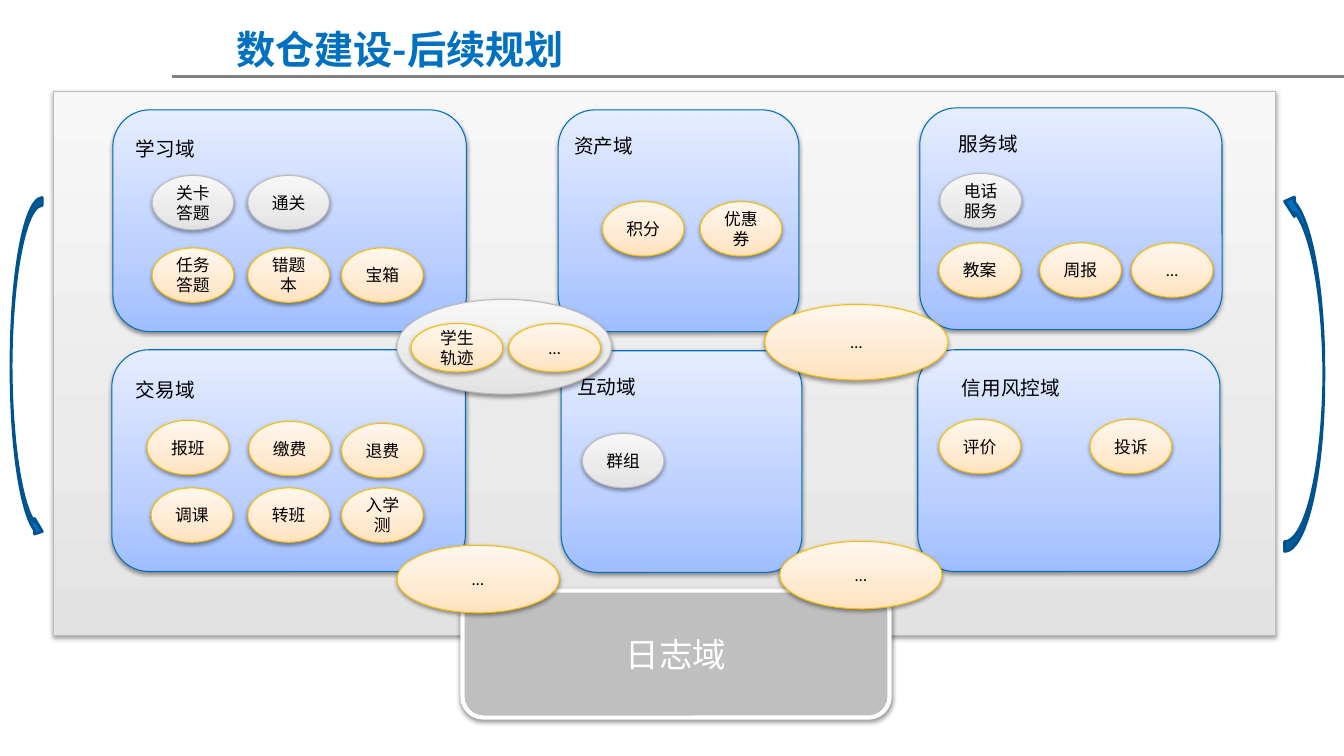
from copy import deepcopy
from lxml.etree import SubElement
from pptx import Presentation
from pptx.dml.color import RGBColor
from pptx.enum.shapes import MSO_CONNECTOR, MSO_SHAPE
from pptx.enum.text import MSO_ANCHOR, MSO_AUTO_SIZE, PP_ALIGN
from pptx.oxml.ns import qn
from pptx.util import Inches, Pt

COLORS = {
    "brand": "0070C0", "brand_dark": "00538E", "rule": "808080",
    "log": "BFBFBF", "white": "FFFFFF", "black": "000000",
}
GRADIENTS = {
    "grey": ("E2E2E2", "EAEAEA", "F7F7F7"),
    "blue": ("A0BEFF", "BCD0FF", "E5EDFF"),
    "orange": ("FFE2BD", "FFEAD1", "FFF7EE"),
}
BORDERS = {"grey": "BBBBBB", "blue": "006EBC", "orange": "F9BC00"}
STOPS = (0, 0.35, 1)
NODE_SIZE = (0.81, 0.54)

DOMAINS = [
    ((1.12, 1.09, 3.51, 2.2), "学习域", (0.13, 0.22), [
        ("关卡答题", "grey", 0.39, 0.65), ("通关", "grey", 1.34, 0.65),
        ("任务答题", "orange", 0.39, 1.37), ("错题本", "orange", 1.34, 1.37),
        ("宝箱", "orange", 2.27, 1.37)]),
    ((1.11, 3.47, 3.51, 2.2), "交易域", (0.14, 0.23), [
        ("调课", "orange", 0.39, 1.37), ("转班", "orange", 1.35, 1.37),
        ("入学测", "orange", 2.28, 1.37), ("报班", "orange", 0.35, 0.7),
        ("缴费", "orange", 1.36, 0.71), ("退费", "orange", 2.28, 0.73)]),
    ((5.57, 3.48, 2.39, 2.2), "互动域", (0.06, 0.19), [
        ("群组", "grey", 0.21, 0.82)]),
    ((5.54, 1.09, 2.39, 2.2), "资产域", (0.06, 0.19), [
        ("积分", "orange", 0.44, 0.91), ("优惠券", "orange", 1.41, 0.91)]),
    ((9.11, 3.47, 3, 2.2), "信用风控域", (0.34, 0.21), [
        ("评价", "orange", 0.21, 0.69), ("投诉", "orange", 1.71, 0.69)]),
    ((9.13, 1.07, 3, 2.2), "服务域", (0.29, 0.19), [
        ("电话服务", "grey", 0.2, 0.65), ("教案", "orange", 0.19, 1.34),
        ("周报", "orange", 1.19, 1.34), ("…", "orange", 2.1, 1.34)]),
]
BRIDGES = [(7.59, 3.02, 1.82, 0.75), (3.94, 5.41, 1.61, 0.67), (7.74, 5.37, 1.61, 0.67)]


def rgb(name):
    return RGBColor.from_string(COLORS[name])


def inches(box):
    return [Inches(length) for length in box]


def write(holder, wording, size, color="black", font="Calibri", align=PP_ALIGN.CENTER,
          anchor=MSO_ANCHOR.MIDDLE, bold=False):
    frame = holder.text_frame
    frame.text = wording
    frame.word_wrap = True
    frame.vertical_anchor = anchor
    paragraph = frame.paragraphs[0]
    paragraph.alignment = align
    paragraph.font.name = font
    paragraph.font.size = Pt(size)
    paragraph.font.bold = bold
    paragraph.font.color.rgb = rgb(color)


def cast_shadow(shape):
    shape.shadow.inherit = False
    effects = shape._element.spPr.find(qn("a:effectLst"))
    shadow = SubElement(effects, qn("a:outerShdw"), blurRad="40000", dist="20000",
                        dir="5400000", rotWithShape="0")
    tint = SubElement(shadow, qn("a:srgbClr"), val=COLORS["black"])
    SubElement(tint, qn("a:alpha"), val="38000")


def add_panel(shapes, kind, box, tone):
    panel = shapes.add_shape(kind, *inches(box))
    panel.fill.gradient()
    panel.fill.gradient_angle = 90
    stop_list = panel._element.spPr.find(".//" + qn("a:gsLst"))
    stop_list.append(deepcopy(stop_list[0]))
    for stop, position, color in zip(panel.fill.gradient_stops, STOPS, GRADIENTS[tone]):
        stop.position = position
        stop.color.rgb = RGBColor.from_string(color)
    panel.line.color.rgb = RGBColor.from_string(BORDERS[tone])
    panel.line.width = Pt(0.75)
    cast_shadow(panel)
    return panel


def add_node(shapes, box, wording, tone="orange"):
    write(add_panel(shapes, MSO_SHAPE.OVAL, box, tone), wording, 12)


def add_header(slide, box):
    left, top, width, height = box
    rule = slide.shapes.add_connector(
        MSO_CONNECTOR.STRAIGHT, *inches((left + 1.71, top + height, left + width, top + height)))
    rule.line.color.rgb = rgb("rule")
    rule.line.width = Pt(2)
    SubElement(rule._element.spPr, qn("a:effectLst"))

    title = slide.shapes.title
    title.left, title.top, title.width, title.height = inches((left + 1.54, top + 0.2, 4.86, 0.57))
    write(title, "数仓建设-后续规划", 28, "brand", "Noto Sans CJK SC", bold=True)
    title.text_frame.auto_size = MSO_AUTO_SIZE.NONE


def add_log_domain(slide, box):
    log = slide.shapes.add_shape(MSO_SHAPE.ROUNDED_RECTANGLE, *inches(box))
    log.fill.solid()
    log.fill.fore_color.rgb = rgb("log")
    log.line.color.rgb = rgb("white")
    log.line.width = Pt(3)
    cast_shadow(log)
    write(log, "日志域", 24, "white")


def add_domain(slide, box, name, name_offset, nodes):
    left, top = box[:2]
    shapes = slide.shapes.add_group_shape().shapes
    add_panel(shapes, MSO_SHAPE.ROUNDED_RECTANGLE, box, "blue")
    label = shapes.add_textbox(*inches(
        (left + name_offset[0], top + name_offset[1], 0.2 * len(name) + 0.3, 0.34)))
    write(label, name, 14, align=PP_ALIGN.LEFT, anchor=MSO_ANCHOR.TOP)
    for wording, tone, across, down in nodes:
        add_node(shapes, (left + across, top + down, *NODE_SIZE), wording, tone)


def add_student_track(slide, box):
    left, top = box[:2]
    shapes = slide.shapes.add_group_shape().shapes
    add_panel(shapes, MSO_SHAPE.OVAL, box, "grey")
    for column, wording in enumerate(("学生轨迹", "…")):
        add_node(shapes, (left + 0.14 + 0.97 * column, top + 0.24, 0.91, 0.48), wording)


def add_cycle_arrow(slide, box, rotation):
    arrow = slide.shapes.add_shape(MSO_SHAPE.CURVED_RIGHT_ARROW, *inches(box))
    arrow.rotation = rotation
    arrow.fill.solid()
    arrow.fill.fore_color.rgb = rgb("brand")
    arrow.line.color.rgb = rgb("brand_dark")
    arrow.line.width = Pt(2)
    arrow.shadow.inherit = False


def main():
    deck = Presentation()
    deck.slide_width, deck.slide_height = Inches(13.34), Inches(7.5)
    slide = deck.slides.add_slide(deck.slide_layouts[5])
    add_header(slide, (0, 0, 13.34, 0.76))
    add_panel(slide.shapes, MSO_SHAPE.FLOWCHART_PROCESS, (0.53, 0.91, 12.13, 5.39), "grey")
    add_log_domain(slide, (4.59, 5.86, 4.24, 1.26))
    for domain in DOMAINS:
        add_domain(slide, *domain)
    add_student_track(slide, (3.94, 2.97, 2.13, 0.94))
    for bridge in BRIDGES:
        add_node(slide.shapes, bridge, "…")
    add_cycle_arrow(slide, (0.11, 1.96, 0.31, 3.39), 0)
    add_cycle_arrow(slide, (12.75, 1.9, 0.39, 3.57), 180)
    deck.save("out.pptx")


if __name__ == "__main__":
    main()
